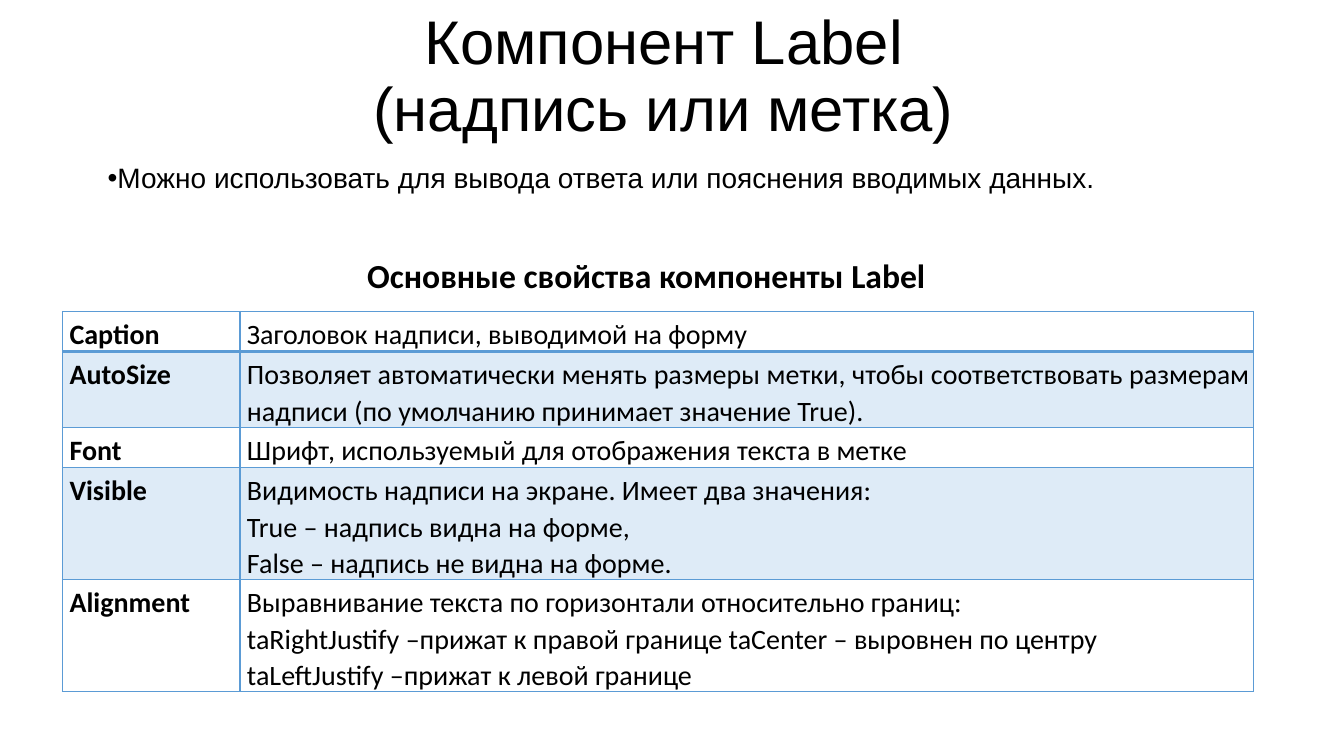
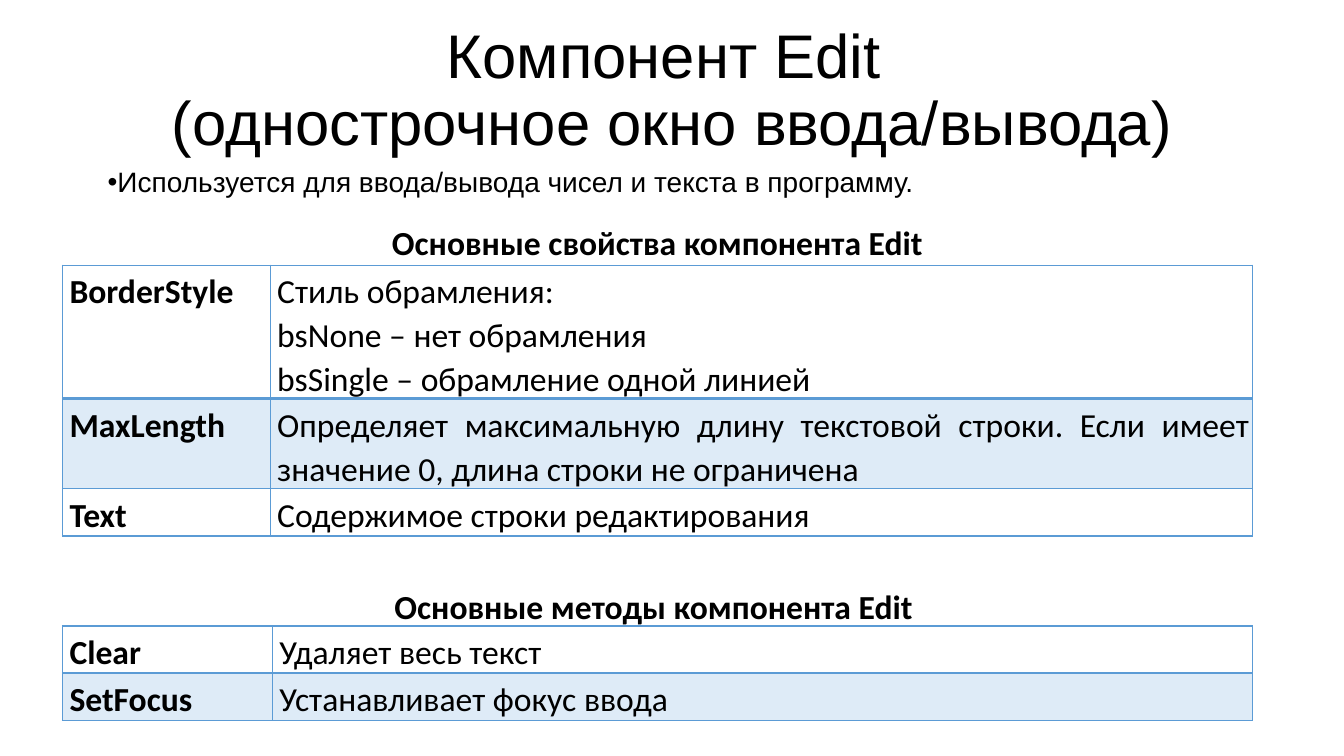
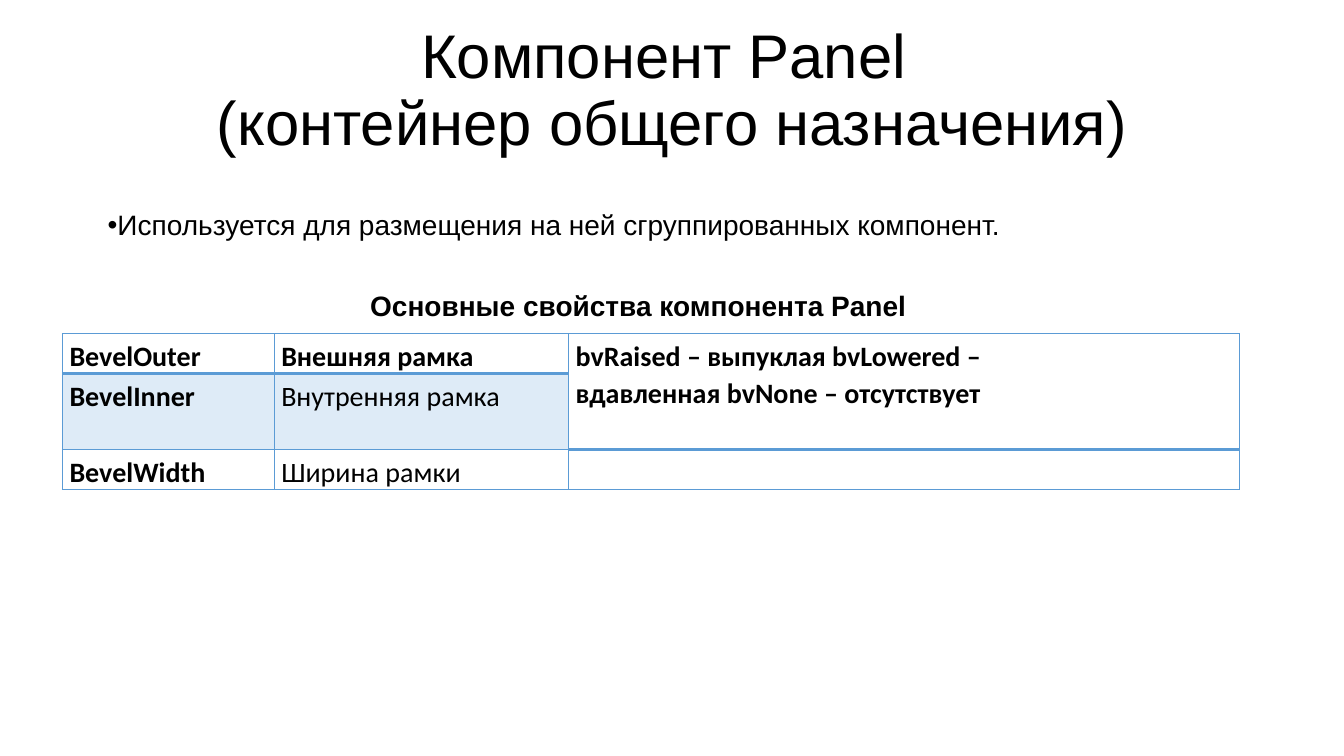
from lxml import etree
from pptx import Presentation
from pptx.dml.color import RGBColor
from pptx.enum import text as t
from pptx.oxml.ns import qn
from pptx.util import Inches, Pt

BLACK = RGBColor(0x00, 0x00, 0x00)
SHADE = RGBColor(0xDE, 0xEB, 0xF7)
BORDER = RGBColor(0x5B, 0x9B, 0xD5)
CENTER, LEFT, JUSTIFY = t.PP_ALIGN.CENTER, t.PP_ALIGN.LEFT, t.PP_ALIGN.JUSTIFY
TOP, MIDDLE = t.MSO_ANCHOR.TOP, t.MSO_ANCHOR.MIDDLE

TABLE_LEFT = 0.62
LINE_PER_POINT = 0.01775  # inches of row height per point of text size
CELL_TOP = 0.04

# Content: captions are (text, left, top, width, format);
# "lines" gives the number of text lines that each table row holds
SLIDES = [
    {
        "title": ("Компонент Label \n(надпись или метка) ", 0.05),
        "note": ("Можно использовать для вывода ответа или пояснения вводимых данных.", 1.54),
        "captions": [("Основные свойства компоненты Label", 3.4, 2.45, 6.02,
                      {"name": "Calibri", "size": Pt(24)}, 1.07)],
        "tables": [{
            "top": 3.09, "size": 20, "columns": [1.76, 10.05], "lines": [1, 2, 1, 3, 3],
            "right": 0.03,
            "rows": [
                ("Caption", "Заголовок надписи, выводимой на форму"),
                ("AutoSize", "Позволяет автоматически менять размеры метки, чтобы "
                             "соответствовать размерам надписи (по умолчанию принимает "
                             "значение True)."),
                ("Font", "Шрифт, используемый для отображения текста в метке"),
                ("Visible", "Видимость надписи на экране. Имеет два значения:\n"
                            "True – надпись видна на форме,\n"
                            "False – надпись не видна на форме."),
                ("Alignment", "Выравнивание текста по горизонтали относительно границ:\n"
                              "taRightJustify –прижат к правой границе "
                              "taCenter – выровнен по центру\n"
                              "taLeftJustify –прижат к левой границе"),
            ],
        }],
    },
    {
        "title": ("Компонент Edit \n(однострочное окно ввода/вывода)", 0.19),
        "note": ("Используется для ввода/вывода чисел и текста в программу.", 1.58),
        "captions": [
            ("Основные свойства компонента Edit", 0.62, 2.15, 11.8,
             {"name": "Calibri", "size": Pt(24)}, 1),
            ("Основные методы компонента Edit ", 0.62, 5.76, 11.8,
             {"name": "Calibri", "size": Pt(24)}, 1),
        ],
        "tables": [
            {
                "top": 2.63, "size": 24, "columns": [2.06, 9.74], "lines": [3, 2, 1],
                "right": 0.03,
                "rows": [
                    ("BorderStyle", "Стиль обрамления:\nbsNone – нет обрамления\n"
                                    "bsSingle – обрамление одной линией"),
                    ("MaxLength", "Определяет максимальную длину текстовой строки. Если "
                                  "имеет значение 0, длина строки не ограничена"),
                    ("Text", "Содержимое строки редактирования"),
                ],
            },
            {
                "top": 6.21, "size": 24, "columns": [2.08, 9.72], "lines": [1, 1],
                "right": 0.08,
                "rows": [
                    ("Clear", "Удаляет весь текст"),
                    ("SetFocus", "Устанавливает фокус ввода"),
                ],
            },
        ],
    },
    {
        "title": ("Компонент Panel \n(контейнер общего назначения)", 0.19),
        "note": ("Используется для размещения на ней сгруппированных компонент.", 2.01),
        "captions": [("Основные свойства компонента Panel ", 0.47, 2.81, 11.8,
                      {"name": "Arial", "size": Pt(20)}, 1)],
        "tables": [{
            "top": 3.31, "size": 20, "columns": [2.1, 2.92, 6.65], "lines": [1, 2, 1],
            "right": 0.08, "bold_first_row": True, "merge": ((0, 2), (1, 2)),
            "rows": [
                ("BevelOuter", "Внешняя рамка",
                 "bvRaised – выпуклая bvLowered –\nвдавленная bvNone – отсутствует"),
                ("BevelInner", "Внутренняя рамка", ""),
                ("BevelWidth", "Ширина рамки", ""),
            ],
        }],
    },
]


def apply(target, values):
    for name, value in values.items():
        setattr(target, name, value)


def style(para, font, align=LEFT, spacing=1):
    apply(para, {"alignment": align, "line_spacing": spacing})
    for span in para.runs:
        apply(span.font, font)
        span.font.color.rgb = BLACK


def add_text(page, words, place, font, align, spacing=1, anchor=MIDDLE):
    box = page.shapes.add_textbox(*map(Inches, place))
    apply(box.text_frame, {"word_wrap": True, "vertical_anchor": anchor})
    para = box.text_frame.paragraphs[0]
    para.text = words.replace("\n", "\v")
    style(para, font, align, spacing)
    return para


def add_bullet(para):
    props = para._p.get_or_add_pPr()
    props.set("marL", "0")
    props.set("indent", str(Inches(0.5)))
    etree.SubElement(props, qn("a:buFont")).set("typeface", "Arial")
    etree.SubElement(props, qn("a:buChar")).set("char", "•")


def add_borders(cell, bottom):
    props = cell._tc.get_or_add_tcPr()
    for side, width in (("L", 1), ("R", 1), ("T", 1), ("B", bottom)):
        line = etree.SubElement(props, qn(f"a:ln{side}"), w=str(Pt(width)))
        fill = etree.SubElement(line, qn("a:solidFill"))
        etree.SubElement(fill, qn("a:srgbClr"), val=str(BORDER))


def fill_cell(cell, words, row, column, data):
    shaded = row % 2 == 1
    apply(cell, {"margin_left": Inches(0.07), "margin_top": Inches(CELL_TOP),
                 "margin_right": Inches(data["right"]), "margin_bottom": 0,
                 "vertical_anchor": TOP})
    cell.text_frame.text = words
    bold = column == 0 or (row == 0 and data.get("bold_first_row", False))
    font = {"name": "Calibri", "size": Pt(data["size"]), "bold": bold}
    for para in cell.text_frame.paragraphs:
        style(para, font, JUSTIFY if shaded and column else LEFT, 1.07)
    add_borders(cell, 2 if row == 0 else 1)
    if shaded:
        cell.fill.solid()
        cell.fill.fore_color.rgb = SHADE
    else:
        cell.fill.background()


def add_property_table(page, data):
    rows, columns = data["rows"], data["columns"]
    heights = [count * data["size"] * LINE_PER_POINT + CELL_TOP for count in data["lines"]]
    place = (TABLE_LEFT, data["top"], sum(columns), sum(heights))
    table = page.shapes.add_table(len(rows), len(columns), *map(Inches, place)).table
    apply(table, {"first_row": False, "horz_banding": False})
    for column, width in zip(table.columns, columns):
        column.width = Inches(width)
    for row, height in zip(table.rows, heights):
        row.height = Inches(height)
    if "merge" in data:
        first, last = data["merge"]
        table.cell(*first).merge(table.cell(*last))
    for row, texts in enumerate(rows):
        for column, words in enumerate(texts):
            cell = table.cell(row, column)
            if not cell.is_spanned:
                fill_cell(cell, words, row, column, data)


def main():
    deck = Presentation()
    apply(deck, {"slide_width": Inches(13.33), "slide_height": Inches(7.5)})
    for content in SLIDES:
        page = deck.slides.add_slide(deck.slide_layouts[6])
        # Title and bulleted note
        title, top = content["title"]
        add_text(page, title, (0.92, top, 11.5, 1.45),
                 {"name": "Arial", "size": Pt(44)}, CENTER, 0.9)
        note, top = content["note"]
        add_bullet(add_text(page, note, (0.47, top, 12.4, 0.44),
                            {"name": "Arial", "size": Pt(20)}, LEFT))
        # Tables and their captions
        for data in content["tables"]:
            add_property_table(page, data)
        for words, left, top, width, font, spacing in content["captions"]:
            add_text(page, words, (left, top, width, 0.44), {**font, "bold": True},
                     CENTER, spacing, TOP)
    deck.save("out.pptx")


if __name__ == "__main__":
    main()
